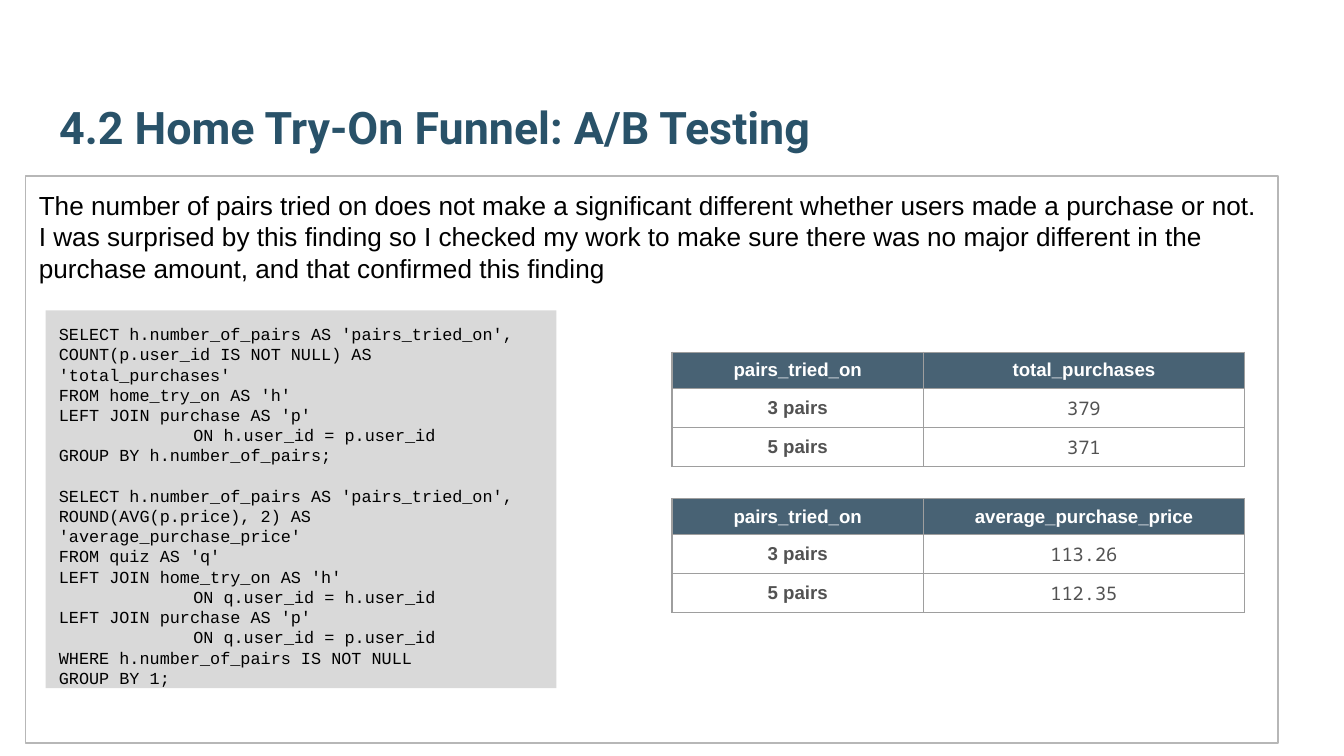
from lxml.etree import SubElement
from pptx import Presentation
from pptx.dml.color import RGBColor
from pptx.enum.shapes import MSO_SHAPE as Shape
from pptx.enum.text import MSO_ANCHOR as Anchor, MSO_AUTO_SIZE as AutoSize, PP_ALIGN as Align
from pptx.oxml.ns import qn
from pptx.util import Inches, Pt

TITLE = "4.2 Home Try-On Funnel: A/B Testing"
FINDING = (
    "The number of pairs tried on does not make a significant different whether users made "
    "a purchase or not. I was surprised by this finding so I checked my work to make sure "
    "there was no major different in the purchase amount, and that confirmed this finding"
)
PURCHASES_QUERY = """SELECT h.number_of_pairs AS 'pairs_tried_on',
COUNT(p.user_id IS NOT NULL) AS 'total_purchases'
FROM home_try_on AS 'h'
LEFT JOIN purchase AS 'p'
\tON h.user_id = p.user_id
GROUP BY h.number_of_pairs;"""
PRICE_QUERY = """SELECT h.number_of_pairs AS 'pairs_tried_on',
ROUND(AVG(p.price), 2) AS 'average_purchase_price'
FROM quiz AS 'q'
LEFT JOIN home_try_on AS 'h'
\tON q.user_id = h.user_id
LEFT JOIN purchase AS 'p'
\tON q.user_id = p.user_id
WHERE h.number_of_pairs IS NOT NULL
GROUP BY 1;"""
PURCHASES = [("pairs_tried_on", "total_purchases"), ("3 pairs", "379"), ("5 pairs", "371")]
PRICES = [("pairs_tried_on", "average_purchase_price"), ("3 pairs", "113.26"), ("5 pairs", "112.35")]


def color(hex_code):
    return RGBColor.from_string(hex_code)


def set_font(paragraph, name, size, hex_code, bold=False):
    font = paragraph.font
    font.name, font.size, font.bold = name, Pt(size), bold
    font.color.rgb = color(hex_code)


def set_frame(frame, anchor):
    frame.word_wrap = True
    frame.auto_size = AutoSize.NONE
    frame.vertical_anchor = anchor
    frame.margin_left = frame.margin_right = Inches(0.1)
    frame.margin_top = frame.margin_bottom = Inches(0.1)


def add_title(slide):
    title = slide.shapes.title
    title.left, title.top = Inches(0.34), Inches(0.32)
    title.width, title.height = Inches(9.32), Inches(0.92)
    title.text_frame.text = TITLE
    set_frame(title.text_frame, Anchor.BOTTOM)
    heading = title.text_frame.paragraphs[0]
    heading.alignment = Align.LEFT
    set_font(heading, "Roboto", 24, "295269", bold=True)


def add_panel(slide, left, top, width, height, fill=None, outline=None):
    """Add a rectangle and return its text frame."""
    panel = slide.shapes.add_shape(
        Shape.RECTANGLE, Inches(left), Inches(top), Inches(width), Inches(height))
    panel.shadow.inherit = False
    if fill:
        panel.fill.solid()
        panel.fill.fore_color.rgb = color(fill)
    else:
        panel.fill.background()
    if outline:
        panel.line.color.rgb = color(outline)
        panel.line.width = Pt(0.75)
    else:
        panel.line.fill.background()
    set_frame(panel.text_frame, Anchor.TOP)
    return panel.text_frame


def add_finding(slide):
    frame = add_panel(slide, 0.19, 1.31, 9.32, 4.22, outline="B7B7B7")
    finding = frame.paragraphs[0]
    finding.text = FINDING
    finding.alignment = Align.LEFT
    set_font(finding, "Arial", 14, "000000")


def add_tab_stop(paragraph, position):
    tabs = SubElement(paragraph._p.get_or_add_pPr(), qn("a:tabLst"))
    SubElement(tabs, qn("a:tab"), pos=str(position), algn="l")


def add_queries(slide, queries):
    frame = add_panel(slide, 0.34, 2.31, 3.8, 2.81, fill="D9D9D9")
    line = frame.paragraphs[0]
    for query_index, query in enumerate(queries):
        for line_index, code in enumerate(query.splitlines()):
            if query_index or line_index:
                line = frame.add_paragraph()
            line.text = code
            line.alignment = Align.LEFT
            if code.startswith("\t"):
                add_tab_stop(line, Inches(1))
            if query_index and not line_index:
                line.space_before = Pt(10.8)
            set_font(line, "Courier New", 9, "000000")


def add_borders(cell):
    properties = cell._tc.get_or_add_tcPr()
    for side in ("a:lnL", "a:lnR", "a:lnT", "a:lnB"):
        border = SubElement(properties, qn(side), w=str(Pt(0.75)))
        SubElement(SubElement(border, qn("a:solidFill")), qn("a:srgbClr"), val="9E9E9E")


def fill_header(cell):
    cell.fill.solid()
    cell.fill.fore_color.rgb = color("204056")
    tint = cell._tc.tcPr.find(qn("a:solidFill")).find(qn("a:srgbClr"))
    SubElement(tint, qn("a:alpha"), val="82000")


def add_results(slide, top, results):
    table = slide.shapes.add_table(
        len(results), 2, Inches(5), Inches(top), Inches(4.26), Inches(0.8)).table
    table.first_row = table.horz_banding = False
    for column, width in zip(table.columns, (1.87, 2.39)):
        column.width = Inches(width)
    for row, height in zip(table.rows, (0.27, 0.29, 0.29)):
        row.height = Inches(height)
    for row_index, values in enumerate(results):
        for column_index, value in enumerate(values):
            cell = table.cell(row_index, column_index)
            cell.text = value
            cell.vertical_anchor = Anchor.MIDDLE
            add_borders(cell)
            entry = cell.text_frame.paragraphs[0]
            entry.alignment = Align.CENTER
            if row_index == 0:
                fill_header(cell)
                set_font(entry, "Arial", 10, "FFFFFF", bold=True)
            else:
                cell.fill.background()
                is_label = column_index == 0
                set_font(entry, "Arial" if is_label else "Noto Sans Mono", 10, "525252", is_label)


def main():
    deck = Presentation()
    deck.slide_width = Inches(10)
    deck.slide_height = deck.slide_width * 9 // 16
    slide = deck.slides.add_slide(deck.slide_layouts[5])
    add_title(slide)
    add_finding(slide)
    add_queries(slide, (PURCHASES_QUERY, PRICE_QUERY))
    add_results(slide, 2.62, PURCHASES)
    add_results(slide, 3.71, PRICES)
    deck.save("out.pptx")


if __name__ == "__main__":
    main()
